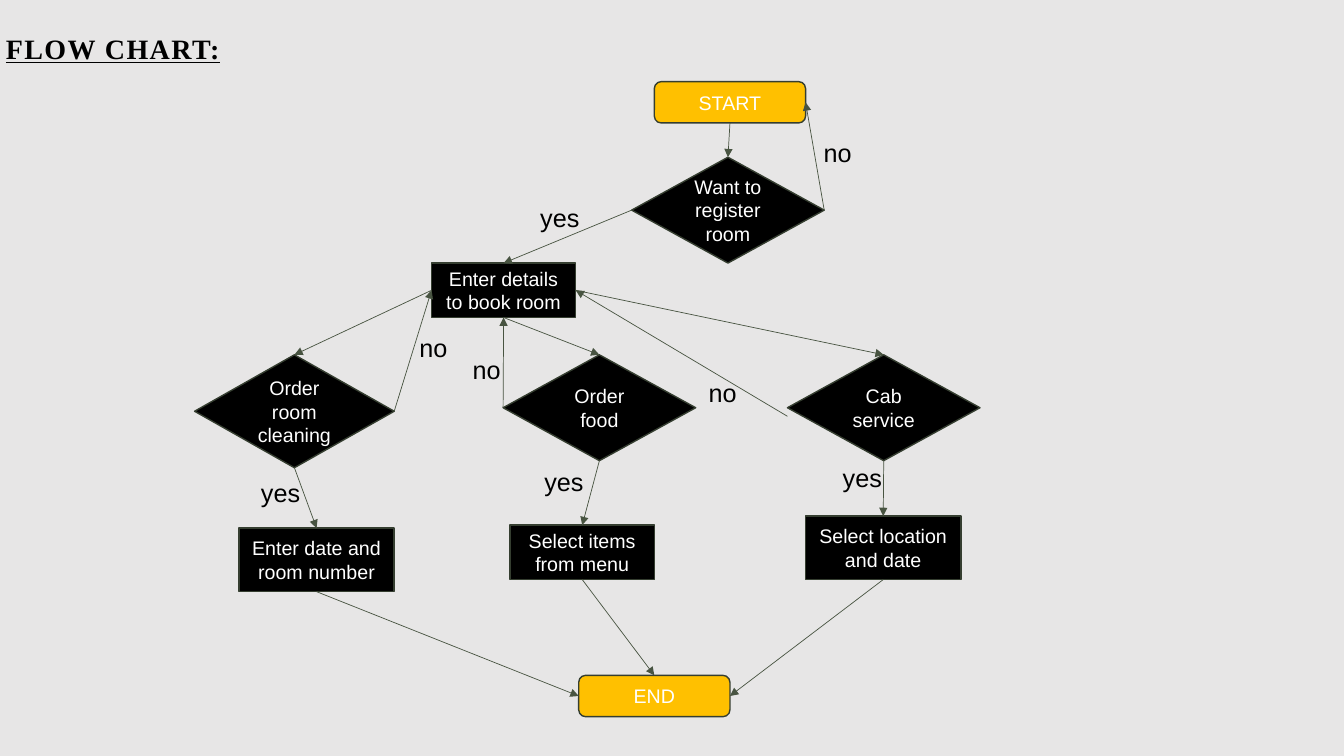
from lxml import etree
from pptx import Presentation
from pptx.dml.color import RGBColor
from pptx.enum.shapes import MSO_CONNECTOR, MSO_SHAPE
from pptx.enum.text import MSO_ANCHOR, MSO_AUTO_SIZE, PP_ALIGN
from pptx.oxml.ns import qn
from pptx.util import Inches, Pt

PILL, GEM, RECT = MSO_SHAPE.ROUNDED_RECTANGLE, MSO_SHAPE.DIAMOND, MSO_SHAPE.RECTANGLE
STRAIGHT = MSO_CONNECTOR.STRAIGHT
MIDDLE, CENTER = MSO_ANCHOR.MIDDLE, PP_ALIGN.CENTER
GROW = MSO_AUTO_SIZE.SHAPE_TO_FIT_TEXT
TOP, LEFT, BOTTOM, RIGHT = range(4)
CELL = Inches(0.1)  # one column or row of the grid

# kind: shape, fill
KINDS = {"pill": (PILL, "FFC000"), "gem": (GEM, "000000"), "rect": (RECT, "000000")}

# name: kind, text, centre column, top row, columns, rows
NODES = {
    "start": ("pill", "START", 53.1, 0, 15, 4.1),
    "room": ("gem", "Want to register room", 52.9, 7.5, 19.1, 10.5),
    "book": ("rect", "Enter details to book room", 30.65, 18, 14.3, 5.4),
    "clean": ("gem", "Order room cleaning", 9.9, 27.1, 19.8, 11.2),
    "food": ("gem", "Order food", 40.15, 27.1, 19.1, 10.5),
    "cab": ("gem", "Cab service", 68.35, 27.1, 19.1, 10.5),
    "date": ("rect", "Enter date and room number", 12.1, 44.3, 15.4, 6.3),
    "menu": ("rect", "Select items from menu", 38.45, 44, 14.3, 5.4),
    "place": ("rect", "Select location and date", 68.3, 43.1, 15.4, 6.3),
    "end": ("pill", "END", 45.6, 58.9, 15, 4.1),
}

# from node, side, to node, side
LINKS = [
    ("room", LEFT, "book", TOP), ("book", LEFT, "clean", TOP),
    ("book", BOTTOM, "food", TOP), ("book", RIGHT, "cab", TOP),
    ("clean", BOTTOM, "date", TOP), ("food", BOTTOM, "menu", TOP),
    ("cab", BOTTOM, "place", TOP), ("date", BOTTOM, "end", LEFT),
    ("menu", BOTTOM, "end", TOP), ("place", BOTTOM, "end", RIGHT),
    ("room", RIGHT, "start", RIGHT), ("start", BOTTOM, "room", TOP),
    ("clean", RIGHT, "book", LEFT), ("food", LEFT, "book", BOTTOM),
]
CAB_BACK = (58.8, 33.2)  # free start of the line from cab back to book

# text: columns, rows, places
LABELS = {
    "yes": (6.4, 4, [(33.3, 11.5), (5.6, 38.8), (33.7, 37.7), (63.3, 37.3)]),
    "no": (5.9, 4.1, [(61.4, 5), (50, 28.8), (26.6, 26.6), (21.3, 24.4)]),
}

BODY = {"name": "Arial", "size": Pt(14)}
NOTE = {"name": "Arial", "size": Pt(18)}
HEAD = {"name": "Times New Roman", "size": Pt(20), "bold": True, "underline": True}


def color(fmt, code):
    fmt.rgb = RGBColor.from_string(code)


def paint(fill, code):
    fill.solid()
    color(fill.fore_color, code)


def grid(box, *cells):
    """Turn columns and rows within the box into slide lengths."""
    return [int(box[i % 2] * (i < 2) + n * CELL) for i, n in enumerate(cells)]


def write(frame, text, style, code):
    para = frame.paragraphs[0]
    run = para.add_run()
    run.text = text
    for key, value in style.items():
        setattr(run.font, key, value)
    color(run.font.color, code)
    return para, run


def add_node(slide, box, kind, text, mid, top, cols, rows):
    form, fill = KINDS[kind]
    node = slide.shapes.add_shape(form, *grid(box, mid - cols / 2, top, cols, rows))
    node.shadow.inherit = False
    paint(node.fill, fill)
    paint(node.line.fill, "353E30")
    node.line.width = Pt(1)
    node.text_frame.word_wrap = True
    node.text_frame.vertical_anchor = MIDDLE
    para, _ = write(node.text_frame, text, BODY, "FFFFFF")
    para.alignment = CENTER
    return node


def add_arrow(slide, goal, side, start=(0, 0)):
    arrow = slide.shapes.add_connector(STRAIGHT, *start, 0, 0)
    arrow.end_connect(goal, side)
    paint(arrow.line.fill, "485441")
    arrow.line.width = Pt(0.5)
    line = arrow.line.fill._xPr
    etree.SubElement(line, qn("a:tailEnd"), type="triangle")
    etree.SubElement(line.getparent(), qn("a:effectLst"))
    return arrow


def add_flow(slide, box):
    nodes = {name: add_node(slide, box, *spot) for name, spot in NODES.items()}
    for source, out, goal, side in LINKS:
        add_arrow(slide, nodes[goal], side).begin_connect(nodes[source], out)
    add_arrow(slide, nodes["book"], RIGHT, grid(box, *CAB_BACK))
    for text, (cols, rows, spots) in LABELS.items():
        for spot in spots:
            label = slide.shapes.add_textbox(*grid(box, *spot, cols, rows))
            label.text_frame.word_wrap = True
            label.text_frame.auto_size = GROW
            write(label.text_frame, text, NOTE, "000000")


def add_title(slide, box):
    frame = slide.shapes.add_textbox(*box).text_frame
    frame.word_wrap = True
    para, run = write(frame, "FLOW CHART:", HEAD, "000000")
    para.line_spacing = 1.07
    para.space_after = Pt(8)
    run.font._element.set("spc", "100")


def main():
    deck = Presentation()
    deck.slide_width, deck.slide_height = Inches(13.33), Inches(7.5)
    slide = deck.slides.add_slide(deck.slide_layouts[6])
    paint(slide.background.fill, "E7E6E6")
    add_flow(slide, (Inches(1.93), Inches(0.81)))
    add_title(slide, grid((0, 0), -0.4, 2.4, 115, 28.5))
    deck.save("out.pptx")


if __name__ == "__main__":
    main()
